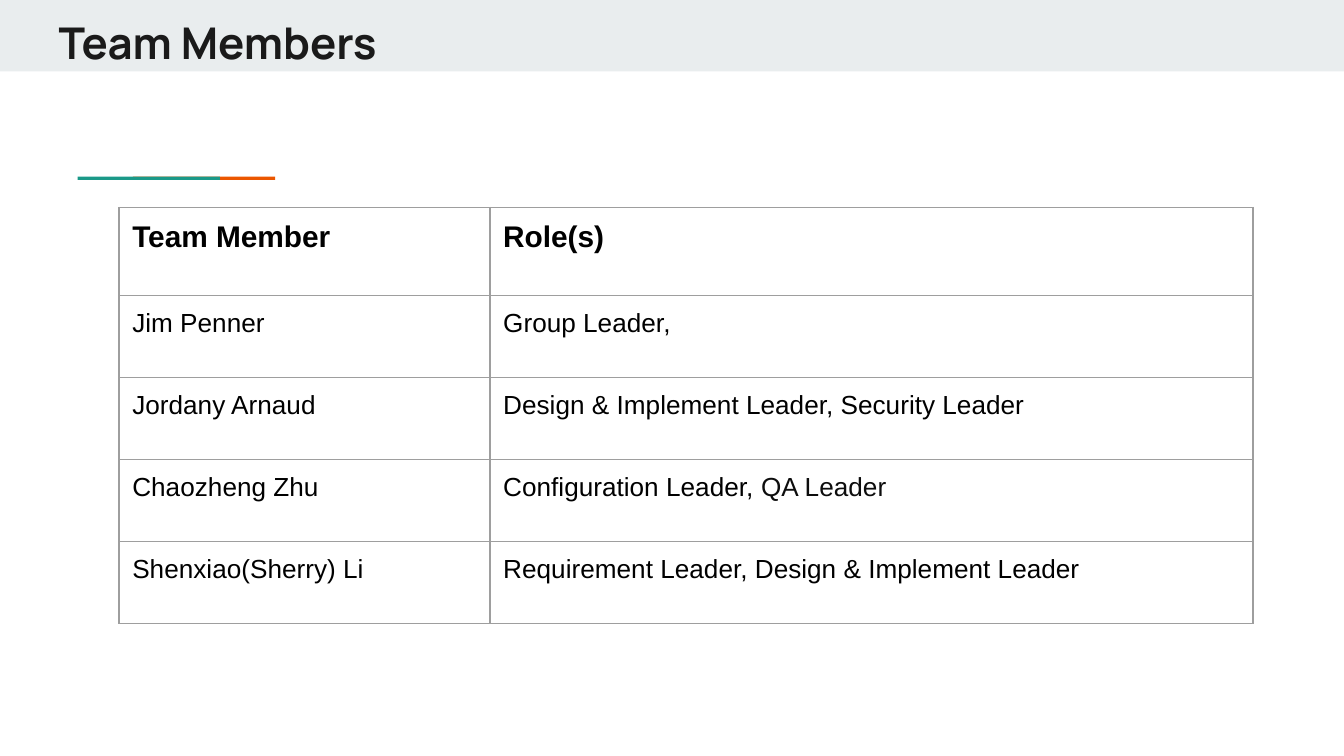
from lxml import etree
from pptx import Presentation
from pptx import util as u
from pptx.dml import color
from pptx.enum import shapes, text
from pptx.oxml import ns

COLORS = {
    "band": "E9EDEE",
    "orange": "EB5600",
    "teal": "1A9988",
    "title": "1A1A1A",
    "black": "000000",
    "soft_black": "0D0D0D",
    "border": "9E9E9E",
}
HEADER = ["Team Member", "Role(s)"]
MEMBERS = [
    ["Jim Penner", "Group Leader,"],
    ["Jordany Arnaud", "Design & Implement Leader, Security Leader"],
    ["Chaozheng Zhu", "Configuration Leader, "],
    ["Shenxiao(Sherry) Li", "Requirement Leader, Design & Implement Leader"],
]


def rgb(name):
    return color.RGBColor.from_string(COLORS[name])


def add_text(paragraph, content, size=14, font="Arial", fill="black", bold=False):
    run = paragraph.add_run()
    run.text = content
    run.font.size = u.Pt(size)
    run.font.name = font
    run.font.bold = bold
    run.font.color.rgb = rgb(fill)


def set_margins(target):
    target.margin_left = target.margin_right = u.Cm(0.25)
    target.margin_top = target.margin_bottom = u.Cm(0.25)


def add_bar(slide, left, top, width, height, fill):
    shape = slide.shapes.add_shape(
        shapes.MSO_SHAPE.RECTANGLE, u.Cm(left), u.Cm(top), u.Cm(width), u.Cm(height))
    shape.shadow.inherit = False
    shape.fill.solid()
    shape.fill.fore_color.rgb = rgb(fill)
    shape.line.fill.background()
    return shape


def add_title(slide, left, top, width, height):
    band = add_bar(slide, 0, 0, 25.4, 1.35, "band")
    title = slide.shapes.title
    title.element.addprevious(band.element)
    title.left, title.top = u.Cm(left), u.Cm(top)
    title.width, title.height = u.Cm(width), u.Cm(height)
    frame = title.text_frame
    frame.word_wrap = True
    frame.auto_size = text.MSO_AUTO_SIZE.NONE
    frame.vertical_anchor = text.MSO_ANCHOR.MIDDLE
    set_margins(frame)
    paragraph = frame.paragraphs[0]
    paragraph.alignment = text.PP_ALIGN.LEFT
    add_text(paragraph, "Team Members", size=23.4, font="Manrope", fill="title", bold=True)


def add_accent(slide, left, top, width, height):
    bar_width = width * 0.72
    add_bar(slide, left + width - bar_width, top, bar_width, height, "orange")
    add_bar(slide, left, top, bar_width, height, "teal")


def set_borders(cell):
    properties = cell._tc.get_or_add_tcPr()
    for position, side in enumerate(("lnL", "lnR", "lnT", "lnB")):
        line = etree.Element(ns.qn(f"a:{side}"), w=str(u.Pt(0.75)))
        fill = etree.SubElement(line, ns.qn("a:solidFill"))
        etree.SubElement(fill, ns.qn("a:srgbClr"), val=COLORS["border"])
        properties.insert(position, line)


def add_members(slide, left, top, width, height):
    rows = [HEADER] + MEMBERS
    header_height = 1.67
    row_height = (height - header_height) / len(MEMBERS)
    name_width = 7.01
    table = slide.shapes.add_table(
        len(rows), len(HEADER), u.Cm(left), u.Cm(top), u.Cm(width), u.Cm(height)).table
    table.first_row = table.horz_banding = False
    table.columns[0].width = u.Cm(name_width)
    table.columns[1].width = u.Cm(width - name_width)
    for row_index, values in enumerate(rows):
        is_header = row_index == 0
        table.rows[row_index].height = u.Cm(header_height if is_header else row_height)
        for column_index, value in enumerate(values):
            cell = table.cell(row_index, column_index)
            cell.fill.background()
            cell.vertical_anchor = text.MSO_ANCHOR.TOP
            set_margins(cell)
            set_borders(cell)
            add_text(cell.text_frame.paragraphs[0], value,
                     size=16 if is_header else 14, bold=is_header)
    add_text(table.cell(3, 1).text_frame.paragraphs[0], "QA Leader", fill="soft_black")


def main():
    presentation = Presentation()
    presentation.slide_width = u.Cm(25.4)
    presentation.slide_height = u.Cm(14.29)
    slide = presentation.slides.add_slide(presentation.slide_layouts[5])
    add_title(slide, 0.86, 0, 23.67, 1.6)
    add_accent(slide, 1.47, 3.34, 3.73, 0.06)
    add_members(slide, 2.25, 3.92, 21.43, 7.87)
    presentation.save("out.pptx")


if __name__ == "__main__":
    main()
